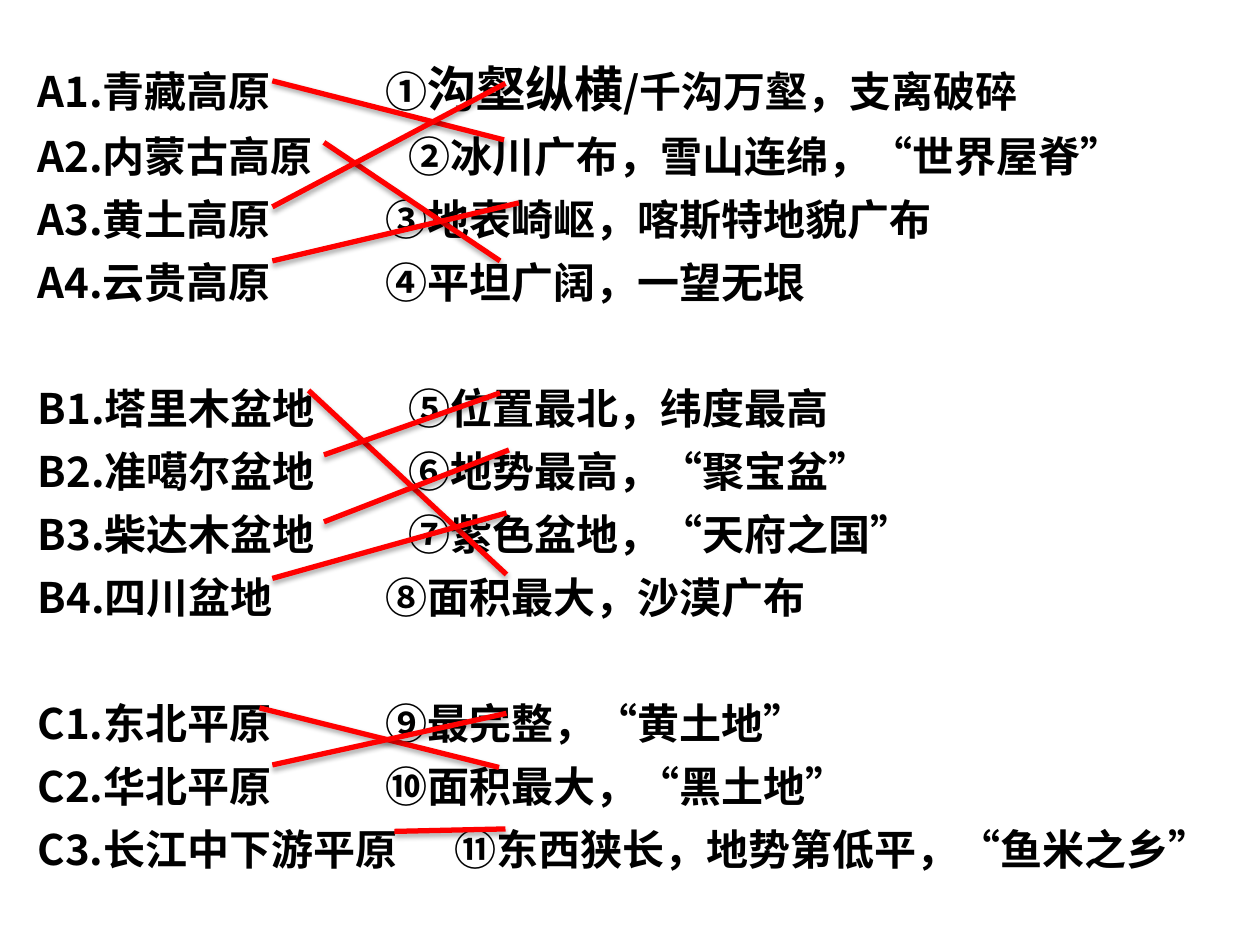
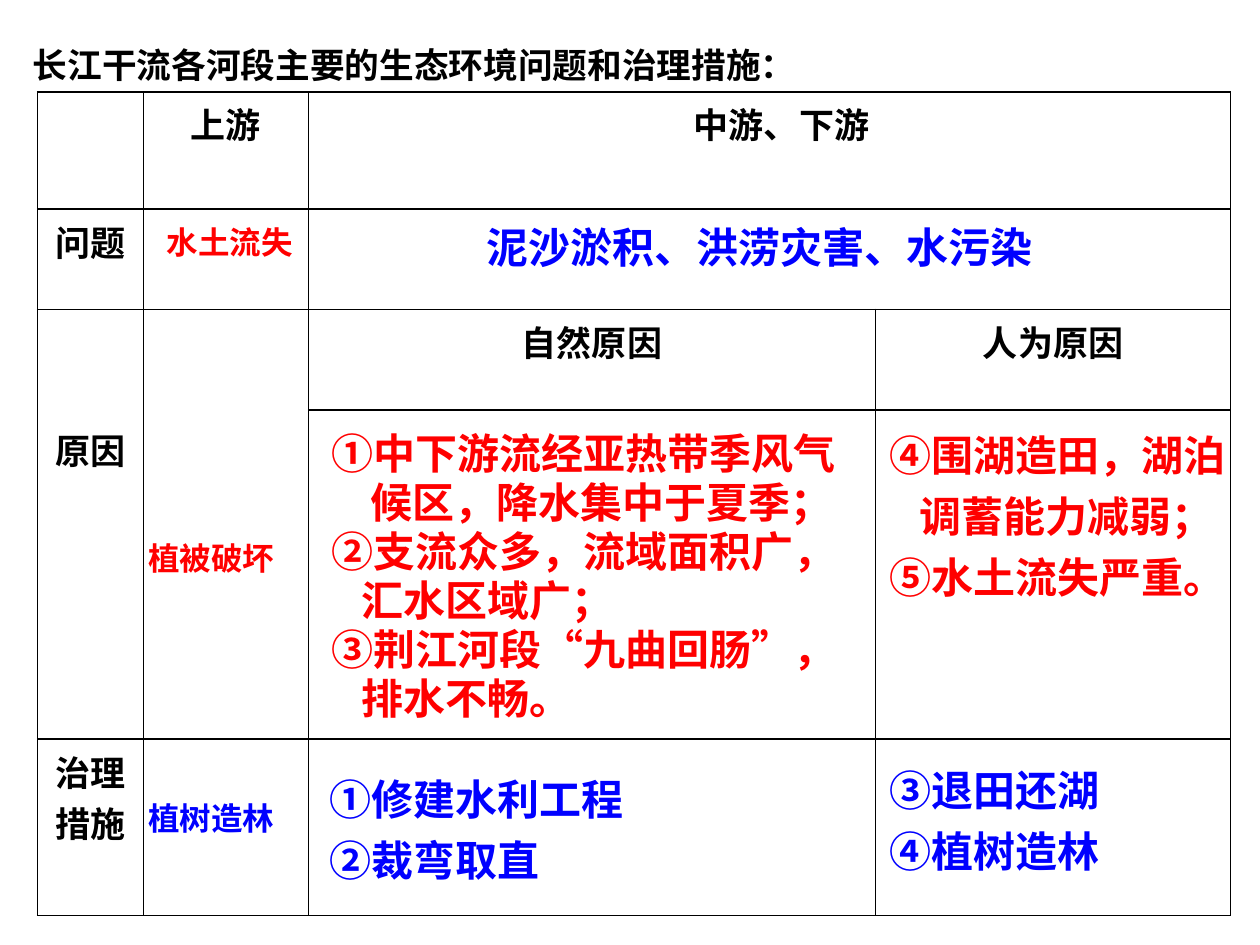
from dataclasses import dataclass

from lxml import etree
from pptx import Presentation
from pptx.dml.color import RGBColor
from pptx.enum.shapes import MSO_CONNECTOR, MSO_SHAPE
from pptx.enum.text import MSO_ANCHOR, MSO_AUTO_SIZE, PP_ALIGN
from pptx.oxml import parse_xml
from pptx.oxml.ns import nsdecls, qn
from pptx.util import Cm, Pt

LEFT, CENTER = PP_ALIGN.LEFT, PP_ALIGN.CENTER
TOP, MIDDLE = MSO_ANCHOR.TOP, MSO_ANCHOR.MIDDLE
NO_AUTOFIT = MSO_AUTO_SIZE.NONE
RECTANGLE, STRAIGHT = MSO_SHAPE.RECTANGLE, MSO_CONNECTOR.STRAIGHT

FONT = "Noto Sans CJK SC"
BLACK = RGBColor(0, 0, 0)
WHITE = RGBColor(255, 255, 255)
RED = RGBColor(255, 0, 0)
BLUE = RGBColor(0, 0, 255)

TITLE_ONLY, BLANK = 5, 6
BODY_SIZE, LEAD_SIZE = 24, 28
HEADER_SIZE, NOTE_SIZE, TITLE_SIZE = 20, 18, 19.8
ROW_PITCH = 36
NEAR, MID, FAR = 7.01, 7.48, 8.41  # tab stops in cm
NUMBERS = "①②③④⑤⑥⑦⑧⑨⑩⑪"


@dataclass(frozen=True)
class Landform:
    """A numbered feature beside a landform, and the line to its answer (cm)."""
    name: str
    feature: str
    tab: float
    start: tuple[float, float]
    end: tuple[float, float]
    lead: str = ""
    opens_group: bool = False


@dataclass(frozen=True)
class Line:
    text: str
    indent: float = 0


@dataclass(frozen=True)
class Answer:
    lines: tuple[Line, ...]
    left: float
    top: float
    width: float
    height: float
    color: RGBColor
    size: float = BODY_SIZE
    align: PP_ALIGN = LEFT
    pitch: float | None = None
    gap: float = 6


@dataclass(frozen=True)
class Header:
    row: int
    column: int
    text: str
    extra_left: float = 0
    extra_top: float = 0


LANDFORMS = (
    Landform("A1.青藏高原", "/千沟万壑，支离破碎", NEAR, (5.49, 1.63), (10.16, 2.82),
             lead="沟壑纵横"),
    Landform("A2.内蒙古高原", "冰川广布，雪山连绵，“世界屋脊”", MID, (6.53, 2.87), (10.08, 5.26)),
    Landform("A3.黄土高原", "地表崎岖，喀斯特地貌广布", NEAR, (5.49, 4.17), (10.19, 1.68)),
    Landform("A4.云贵高原", "平坦广阔，一望无垠", NEAR, (5.49, 5.26), (10.46, 4.09)),
    Landform("B1.塔里木盆地", "位置最北，纬度最高", MID, (6.22, 7.87), (10.21, 11.58),
             opens_group=True),
    Landform("B2.准噶尔盆地", "地势最高，“聚宝盆”", MID, (6.53, 9.17), (10.08, 7.92)),
    Landform("B3.柴达木盆地", "紫色盆地，“天府之国”", MID, (6.53, 10.52), (10.26, 9.07)),
    Landform("B4.四川盆地", "面积最大，沙漠广布", NEAR, (5.49, 11.66), (10.21, 10.34)),
    Landform("C1.东北平原", "最完整，“黄土地”", NEAR, (5.23, 14.27), (10.06, 15.47),
             opens_group=True),
    Landform("C2.华北平原", "面积最大，“黑土地”", NEAR, (5.49, 15.42), (10.21, 14.38)),
    Landform("C3.长江中下游平原", "东西狭长，地势第低平，“鱼米之乡”", FAR, (7.95, 16.76),
             (10.19, 16.71)),
)

TITLE = "长江干流各河段主要的生态环境问题和治理措施："
COLUMN_WIDTHS = (2.13, 3.33, 11.43, 7.16)
ROW_HEIGHTS = (2.36, 2.03, 2.03, 6.63, 3.56)
MERGES = (((0, 2), (0, 3)), ((1, 2), (1, 3)), ((2, 0), (3, 0)), ((2, 1), (3, 1)))
HEADERS = (
    Header(0, 1, "上游"),
    Header(0, 2, "中游、下游", extra_left=0.48),
    Header(1, 0, "问题"),
    Header(2, 0, "原因", extra_top=2.18),
    Header(2, 2, "自然原因"),
    Header(2, 3, "人为原因"),
    Header(4, 0, "治理措施"),
)
ANSWERS = (
    Answer((Line("植被破坏"),), 2.44, 10.75, 3.63, 1.02, RED, NOTE_SIZE, CENTER),
    Answer((Line("植树造林"),), 2.44, 15.98, 3.63, 1.02, BLUE, NOTE_SIZE, CENTER),
    Answer((Line("水土流失"),), 2.82, 4.37, 3.63, 1.02, RED, NOTE_SIZE, CENTER),
    Answer((Line("泥沙淤积、洪涝灾害、水污染"),), 8.69, 4.34, 13.26, 1.27, BLUE, align=CENTER),
    Answer((Line("①修建水利工程"), Line("②裁弯取直")), 6.4, 15.47, 7.59, 2.82, BLUE),
    Answer((Line("③退田还湖"), Line("④植树造林")), 17.68, 15.28, 7.62, 2.82, BLUE),
    Answer((Line("①中下游流经亚热带季风气"), Line("候区，降水集中于夏季；", 0.79),
            Line("②支流众多，流域面积广，"), Line("汇水区域广；", 0.6),
            Line("③荆江河段“九曲回肠”，"), Line("排水不畅。", 0.6)),
           6.43, 8.53, 10.95, 6.25, RED, pitch=28, gap=0),
    Answer((Line("④围湖造田，湖泊"), Line("调蓄能力减弱；", 0.6), Line("⑤水土流失严重。")),
           17.68, 8.53, 7.62, 4.37, RED),
)


def add_run(paragraph, text: str, *, size: float = BODY_SIZE, color: RGBColor = BLACK) -> None:
    run = paragraph.add_run()
    run.text = text
    font = run.font
    font.size, font.bold, font.name = Pt(size), True, FONT
    font.color.rgb = color
    etree.SubElement(font._element, qn("a:ea")).set("typeface", FONT)


def write_lines(frame, lines: tuple[Line, ...], *, size: float, color: RGBColor = BLACK,
                align: PP_ALIGN = LEFT, pitch: float | None = None, gap: float = 0) -> None:
    for index, line in enumerate(lines):
        paragraph = frame.add_paragraph() if index else frame.paragraphs[0]
        paragraph.alignment = align
        if pitch:
            paragraph.line_spacing = Pt(pitch)
        if index and gap:
            paragraph.space_before = Pt(gap)
        if line.indent:
            paragraph._p.get_or_add_pPr().set("marL", str(Cm(line.indent)))
        add_run(paragraph, line.text, size=size, color=color)


def add_answer_line(slide, landform: Landform) -> None:
    ends = (Cm(value) for value in landform.start + landform.end)
    connector = slide.shapes.add_connector(STRAIGHT, *ends)
    connector.line.color.rgb = RED
    connector.line.width = Pt(3)
    connector._element.spPr.append(parse_xml(
        f'<a:effectLst {nsdecls("a")}><a:outerShdw blurRad="{Pt(3.1)}" dist="{Pt(1.8)}" '
        'dir="5400000" rotWithShape="0"><a:srgbClr val="000000"><a:alpha val="35000"/>'
        '</a:srgbClr></a:outerShdw></a:effectLst>'))


def add_landform_list(slide) -> None:
    panel = slide.shapes.add_shape(RECTANGLE, Cm(0.51), Cm(0.69), Cm(24.89), Cm(17.15))
    panel.shadow.inherit = False
    panel.line.fill.background()
    panel.fill.solid()
    panel.fill.fore_color.rgb = WHITE
    panel_color = panel._element.spPr.find(qn("a:solidFill"))[0]
    etree.SubElement(panel_color, qn("a:alpha")).set("val", "75000")

    frame = panel.text_frame
    frame.word_wrap = True
    frame.vertical_anchor = TOP
    frame.margin_top = Cm(0.41)
    for index, (number, landform) in enumerate(zip(NUMBERS, LANDFORMS)):
        paragraph = frame.add_paragraph() if index else frame.paragraphs[0]
        paragraph.alignment = LEFT
        paragraph.line_spacing = Pt(ROW_PITCH)
        if landform.opens_group:
            paragraph.space_before = Pt(ROW_PITCH)
        stops = etree.SubElement(paragraph._p.get_or_add_pPr(), qn("a:tabLst"))
        etree.SubElement(stops, qn("a:tab"), pos=str(Cm(landform.tab)), algn="l")
        add_run(paragraph, f"{landform.name}\t{number}")
        if landform.lead:
            add_run(paragraph, landform.lead, size=LEAD_SIZE)
        add_run(paragraph, landform.feature)


def style_cell(cell) -> None:
    """White fill and a thin black border on all four sides."""
    cell.fill.solid()
    cell.fill.fore_color.rgb = WHITE
    for index, side in enumerate("LRTB"):
        cell._tc.get_or_add_tcPr().insert(index, parse_xml(
            f'<a:ln{side} {nsdecls("a")} w="{Pt(1)}"><a:solidFill>'
            f'<a:srgbClr val="{BLACK}"/></a:solidFill></a:ln{side}>'))


def add_river_table(slide) -> None:
    table = slide.shapes.add_table(
        len(ROW_HEIGHTS), len(COLUMN_WIDTHS), Cm(0.76), Cm(1.85),
        Cm(sum(COLUMN_WIDTHS)), Cm(sum(ROW_HEIGHTS))).table
    table.first_row = table.horz_banding = False
    for column, width in zip(table.columns, COLUMN_WIDTHS):
        column.width = Cm(width)
    for row, height in zip(table.rows, ROW_HEIGHTS):
        row.height = Cm(height)
    for cell in table.iter_cells():
        style_cell(cell)
    for first, last in MERGES:
        table.cell(*first).merge(table.cell(*last))
    for header in HEADERS:
        cell = table.cell(header.row, header.column)
        cell.margin_left = Cm(0.23 + header.extra_left)
        cell.margin_right = Cm(0.23)
        cell.margin_top = Cm(0.13 + header.extra_top)
        write_lines(cell.text_frame, (Line(header.text),), size=HEADER_SIZE, align=CENTER)


def add_answer(slide, answer: Answer) -> None:
    box = slide.shapes.add_textbox(
        Cm(answer.left), Cm(answer.top), Cm(answer.width), Cm(answer.height))
    box.text_frame.word_wrap = True
    write_lines(box.text_frame, answer.lines, size=answer.size, color=answer.color,
                align=answer.align, pitch=answer.pitch, gap=answer.gap)


def set_title(slide, text: str) -> None:
    title = slide.shapes.title
    title.left, title.top, title.width, title.height = Cm(0.41), Cm(0.54), Cm(15.95), Cm(1.52)
    frame = title.text_frame
    frame.auto_size = NO_AUTOFIT
    frame.word_wrap = False
    frame.vertical_anchor = MIDDLE
    write_lines(frame, (Line(text),), size=TITLE_SIZE)


def main() -> None:
    deck = Presentation()
    deck.slide_width, deck.slide_height = Cm(25.4), Cm(19.05)

    matching = deck.slides.add_slide(deck.slide_layouts[BLANK])
    add_landform_list(matching)
    for landform in LANDFORMS:
        add_answer_line(matching, landform)

    river = deck.slides.add_slide(deck.slide_layouts[TITLE_ONLY])
    set_title(river, TITLE)
    add_river_table(river)
    for answer in ANSWERS:
        add_answer(river, answer)

    deck.save("out.pptx")


if __name__ == "__main__":
    main()
